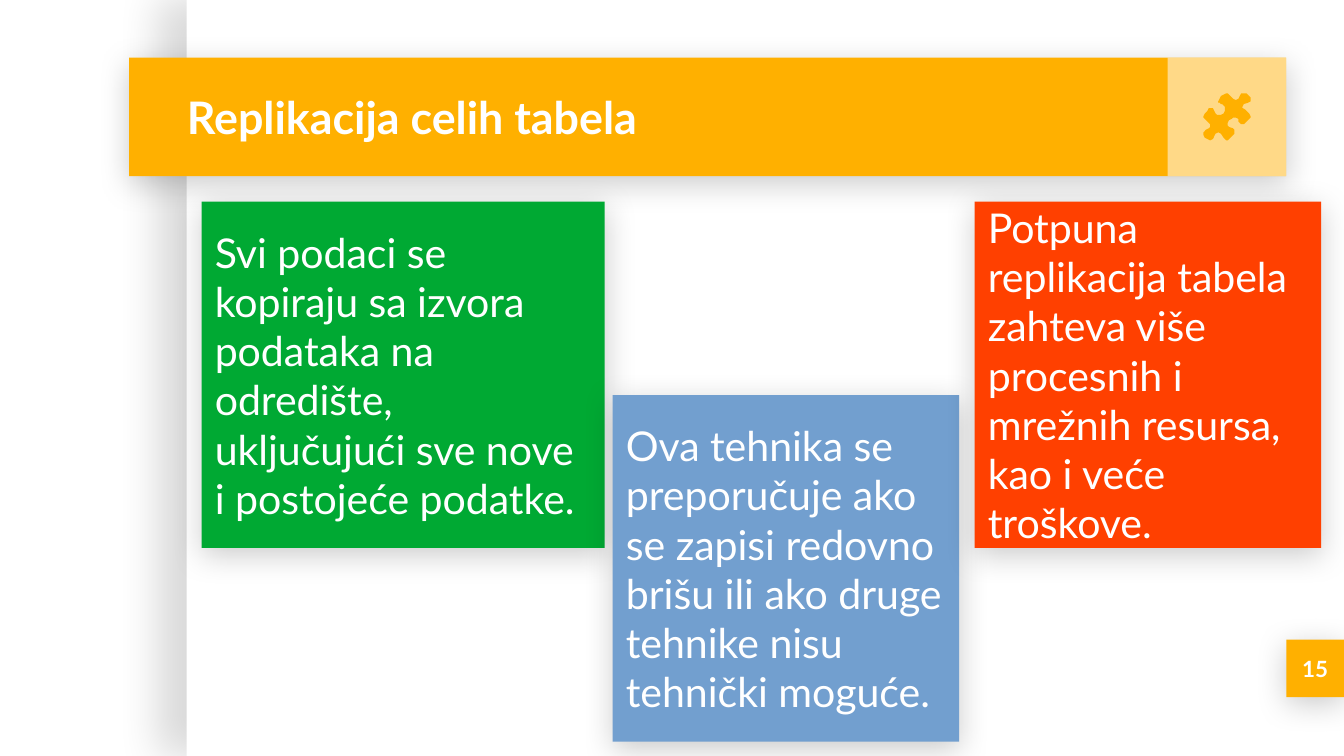
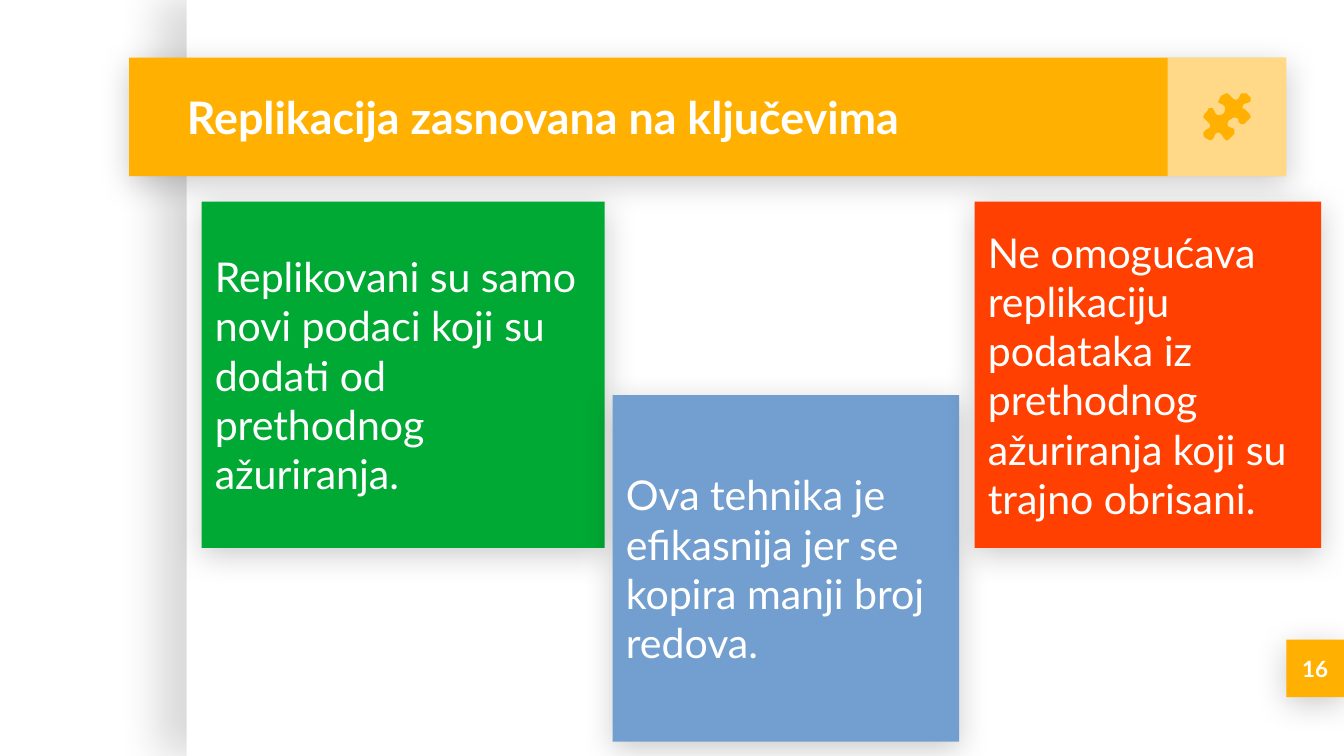
import dataclasses

import pptx
import pptx.dml.color
import pptx.enum.shapes
import pptx.enum.text
import pptx.oxml
import pptx.oxml.ns
import pptx.util

Cm = pptx.util.Cm
Pt = pptx.util.Pt
ALIGN = pptx.enum.text.PP_ALIGN

# Content: page number, title, card texts
PAGES = [
    (15, "Replikacija celih tabela", [
        "Svi podaci se kopiraju sa izvora podataka na odredište, "
        "uključujući sve nove i postojeće podatke.",
        "Ova tehnika se preporučuje ako se zapisi redovno brišu "
        "ili ako druge tehnike nisu tehnički moguće.",
        "Potpuna replikacija tabela zahteva više procesnih i mrežnih "
        "resursa, kao i veće troškove.",
    ]),
    (16, "Replikacija zasnovana na ključevima", [
        "Replikovani su samo novi podaci koji su dodati od prethodnog "
        "ažuriranja.",
        "Ova tehnika je efikasnija jer se kopira manji broj redova.",
        "Ne omogućava replikaciju podataka iz prethodnog ažuriranja "
        "koji su trajno obrisani.",
    ]),
]


# Theme
@dataclasses.dataclass(frozen=True)
class Theme:
    font: str = "Lato"
    white: str = "FFFFFF"
    gold: str = "FFB000"
    cards: tuple = ("00A933", "729FCF", "FF4000")
    head: int = 24
    body: int = 22
    small: int = 12
    inset: float = 0.25
    # Shadows: alpha %, blur pt, distance pt, angle in degrees
    side: tuple = (15, 22.5, 15, 180)
    drop: tuple = (20, 16.9, 3.7, 90)


THEME = Theme()

# Layout in cm: left, top, width, height
WIDE, HIGH = 25.4, 14.29
SHEET = (3.53, 0, WIDE - 3.53, HIGH)
BAND = (2.44, 1.09, 21.87, 2.24)
TILE = (BAND[0] + BAND[2] - BAND[3], BAND[1], BAND[3], BAND[3])
TITLE = (3.28, BAND[1], 18.72, BAND[3])
BADGE = (WIDE - 1.09, 12.09, 1.09, 1.09)
SIDE = 6.55
CARDS = [(3.81, 3.81, 7.62, SIDE),
         (11.58, 7.47, SIDE, SIDE),
         (18.42, 3.81, SIDE, SIDE)]

# Puzzle outline on a grid of 35 units
GRID = 35
ICON = 0.89
PUZZLE = [
    (17, 0), (15, 1), (13, 2), (12, 4), (11, 6), (11, 7), (12, 7), (13, 8),
    (14, 8), (16, 10), (16, 13), (15, 15), (13, 16), (10, 16), (9, 15),
    (8, 13), (7, 11), (5, 11), (4, 11), (3, 13), (1, 15), (0, 17), (0, 18),
    (1, 19), (4, 22), (5, 23), (5, 25), (4, 26), (2, 27), (0, 29), (0, 31),
    (1, 33), (3, 34), (5, 35), (7, 34), (8, 32), (9, 30), (11, 29), (13, 30),
    (15, 33), (17, 35), (18, 35), (20, 33), (23, 30), (23, 27), (22, 26),
    (19, 25), (18, 24), (18, 22), (19, 20), (21, 19), (22, 18), (24, 18),
    (26, 19), (26, 21), (27, 22), (28, 23), (30, 23), (31, 22), (33, 20),
    (35, 18), (35, 17), (34, 15), (31, 12), (29, 11), (29, 10), (30, 8),
    (33, 7), (35, 6), (35, 3), (34, 2), (32, 0), (28, 0), (27, 2), (26, 4),
    (24, 5), (22, 4), (20, 2), (18, 0),
]


# Helpers
def tint(hue):
    return pptx.dml.color.RGBColor.from_string(hue)


def paint(shape, hue, shade=None):
    shape.fill.solid()
    shape.fill.fore_color.rgb = tint(hue)
    shape.line.fill.background()
    shape.shadow.inherit = False
    if shade:
        alpha, blur, dist, angle = shade
        glow = shape.element.spPr.find(pptx.oxml.ns.qn("a:effectLst"))
        glow.append(pptx.oxml.parse_xml(
            f'<a:outerShdw {pptx.oxml.ns.nsdecls("a")} blurRad="{Pt(blur)}" '
            f'dist="{Pt(dist)}" dir="{angle * 60000}" algn="bl" '
            f'rotWithShape="0"><a:srgbClr val="000000">'
            f'<a:alpha val="{alpha * 1000}"/></a:srgbClr></a:outerShdw>'))


def block(slide, area, hue, shade=None):
    kind = pptx.enum.shapes.MSO_SHAPE.RECTANGLE
    shape = slide.shapes.add_shape(kind, *map(Cm, area))
    paint(shape, hue, shade)
    return shape


def write(shape, text, size, bold=False, align=ALIGN.LEFT):
    frame = shape.text_frame
    frame.word_wrap = True
    frame.auto_size = pptx.enum.text.MSO_AUTO_SIZE.NONE
    frame.vertical_anchor = pptx.enum.text.MSO_ANCHOR.MIDDLE
    for edge in ("left", "top", "right", "bottom"):
        setattr(frame, f"margin_{edge}", Cm(THEME.inset))
    para = frame.paragraphs[0]
    para.alignment = align
    run = para.add_run()
    run.text = text
    run.font.name = THEME.font
    run.font.size = Pt(size)
    run.font.bold = bold
    run.font.color.rgb = tint(THEME.white)


def puzzle(slide):
    pad = (TILE[2] - ICON) / 2
    pen = slide.shapes.build_freeform(*PUZZLE[0], scale=Cm(ICON) / GRID)
    pen.add_line_segments(PUZZLE[1:], close=True)
    paint(pen.convert_to_shape(Cm(TILE[0] + pad), Cm(TILE[1] + pad)),
          THEME.gold)


# Shared frame: sheet, badge, title band and icon
def frame(slide, number, text):
    block(slide, SHEET, THEME.white, THEME.side)
    badge = block(slide, BADGE, THEME.gold, THEME.drop)
    write(badge, str(number), THEME.small, True, ALIGN.CENTER)
    block(slide, BAND, THEME.gold, THEME.drop)
    tile = block(slide, TILE, THEME.white)
    hue = tile.element.spPr.find(".//" + pptx.oxml.ns.qn("a:srgbClr"))
    hue.append(pptx.oxml.parse_xml(
        f'<a:alpha {pptx.oxml.ns.nsdecls("a")} val="53000"/>'))

    title = slide.shapes.title
    slide.shapes.element.append(title.element)  # bring above the band
    title.left, title.top, title.width, title.height = map(Cm, TITLE)
    write(title, text, THEME.head, True)
    puzzle(slide)


def main():
    deck = pptx.Presentation()
    deck.slide_width, deck.slide_height = Cm(WIDE), Cm(HIGH)
    for number, title, texts in PAGES:
        slide = deck.slides.add_slide(deck.slide_layouts[5])
        frame(slide, number, title)
        for area, hue, text in zip(CARDS, THEME.cards, texts):
            write(block(slide, area, hue, THEME.drop), text, THEME.body)
    deck.save("out.pptx")


if __name__ == "__main__":
    main()
